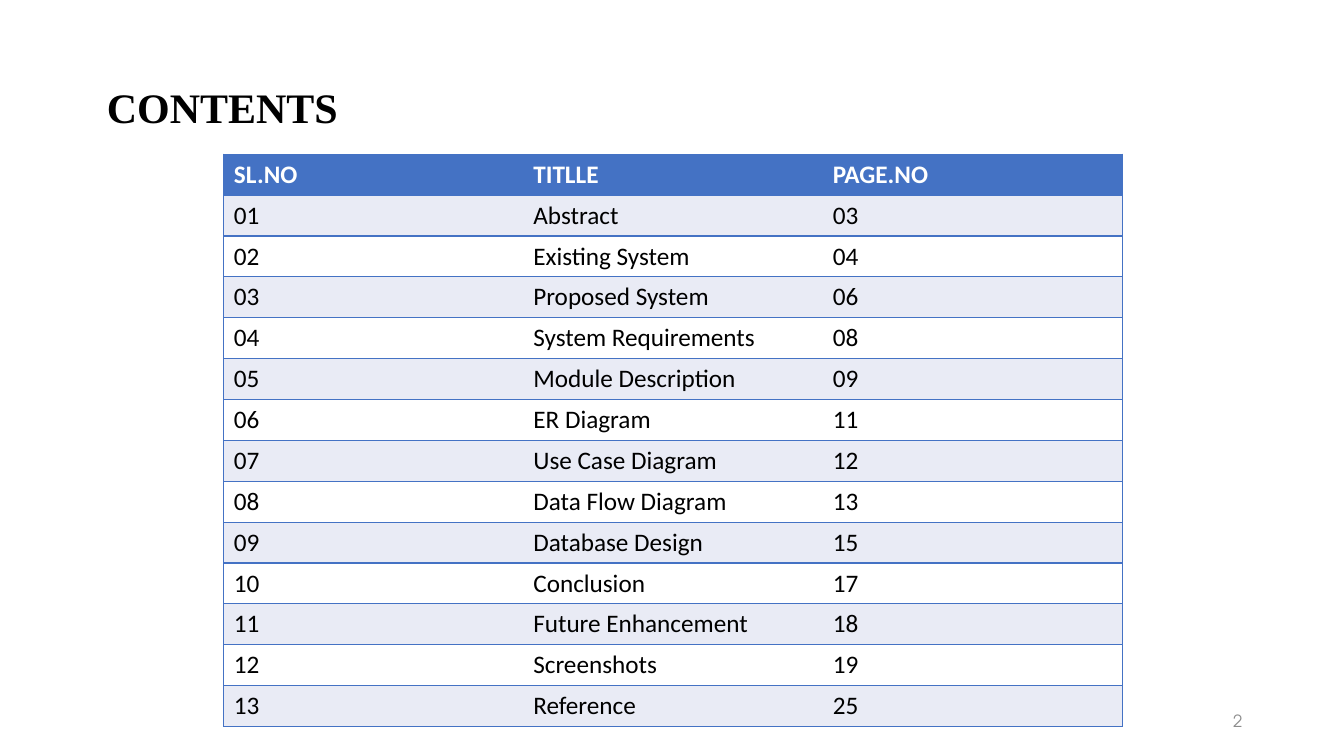
from lxml import etree
from pptx import Presentation
from pptx.dml.color import RGBColor
from pptx.enum.text import MSO_ANCHOR, PP_ALIGN
from pptx.oxml.ns import qn
from pptx.util import Inches, Pt

TITLE = "CONTENTS"
PAGE_NUMBER = "2"
HEADER = ("SL.NO", "TITLLE", "PAGE.NO")
ENTRIES = [
    ("Abstract", "03"),
    ("Existing System", "04"),
    ("Proposed System", "06"),
    ("System Requirements", "08"),
    ("Module Description", "09"),
    ("ER Diagram", "11"),
    ("Use Case Diagram", "12"),
    ("Data Flow Diagram", "13"),
    ("Database Design", "15"),
    ("Conclusion", "17"),
    ("Future Enhancement", "18"),
    ("Screenshots", "19"),
    ("Reference", "25"),
]

BLUE = RGBColor(0x44, 0x72, 0xC4)
BAND = RGBColor(0xE9, 0xEB, 0xF5)
WHITE = RGBColor(0xFF, 0xFF, 0xFF)
BLACK = RGBColor(0, 0, 0)
GRAY = RGBColor(0x8C, 0x8C, 0x8C)
COL_WIDTH, ROW_HEIGHT = 2.97, 0.39


def style(p, name, size, color, bold=False):
    p.font.name = name
    p.font.size = Pt(size)
    p.font.color.rgb = color
    p.font.bold = bold


def set_borders(cell, visible):
    """Draw the sides named in visible (from L, R, T, B) and clear the others."""
    tc_pr = cell._tc.get_or_add_tcPr()
    for i, side in enumerate("LRTB"):
        ln = etree.Element(qn(f"a:ln{side}"), w=str(Pt(1)))
        if side in visible:
            fill = etree.SubElement(ln, qn("a:solidFill"))
            etree.SubElement(fill, qn("a:srgbClr"), val=str(BLUE))
        else:
            etree.SubElement(ln, qn("a:noFill"))
        tc_pr.insert(i, ln)


def add_title(s):
    title = s.shapes.title
    title.left, title.top = Inches(0.18), Inches(0.29)
    title.width, title.height = Inches(12.25), Inches(1.6)
    tf = title.text_frame
    tf.text = TITLE
    tf.margin_left = Inches(0.88)
    tf.vertical_anchor = MSO_ANCHOR.MIDDLE
    p = tf.paragraphs[0]
    p.alignment = PP_ALIGN.LEFT
    p.line_spacing = 0.9
    style(p, "Times New Roman", 30, BLACK, True)


def add_contents_table(s):
    rows = [HEADER] + [(f"{n:02}", *entry) for n, entry in enumerate(ENTRIES, 1)]
    last = len(HEADER) - 1
    table = s.shapes.add_table(
        len(rows), len(HEADER), Inches(2.22), Inches(1.53),
        Inches(COL_WIDTH * len(HEADER)), Inches(ROW_HEIGHT * len(rows))).table
    for column in table.columns:
        column.width = Inches(COL_WIDTH)
    for r, row in enumerate(rows):
        table.rows[r].height = Inches(ROW_HEIGHT)
        is_header = r == 0
        fill = BLUE if is_header else BAND if r % 2 else WHITE
        for c, text in enumerate(row):
            cell = table.cell(r, c)
            cell.text = text
            cell.fill.solid()
            cell.fill.fore_color.rgb = fill
            style(cell.text_frame.paragraphs[0], "Calibri", 18,
                  WHITE if is_header else BLACK, is_header)
            set_borders(cell, "TB" + ("L" if c == 0 else "R" if c == last else ""))


def add_page_number(s):
    box = s.shapes.add_textbox(Inches(9.42), Inches(6.95), Inches(3), Inches(0.4))
    tf = box.text_frame
    tf.word_wrap = True
    tf.vertical_anchor = MSO_ANCHOR.MIDDLE
    p = tf.paragraphs[0]
    p.text = PAGE_NUMBER
    p.alignment = PP_ALIGN.RIGHT
    style(p, "TeX Gyre Adventor", 12, GRAY)


def main():
    prs = Presentation()
    prs.slide_width, prs.slide_height = Inches(13.33), Inches(7.5)
    s = prs.slides.add_slide(prs.slide_layouts[5])
    add_title(s)
    add_contents_table(s)
    add_page_number(s)
    prs.save("out.pptx")


if __name__ == "__main__":
    main()
